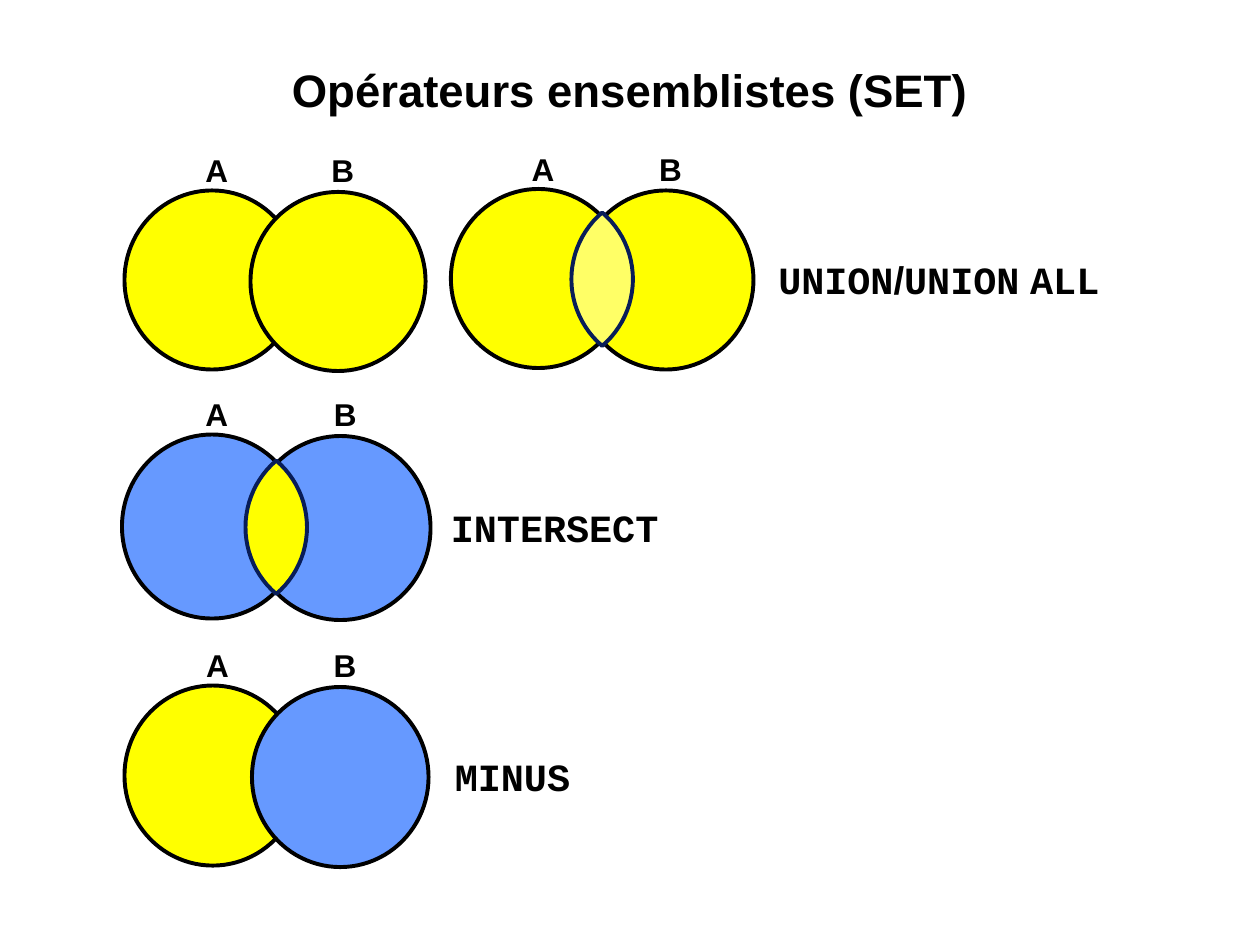
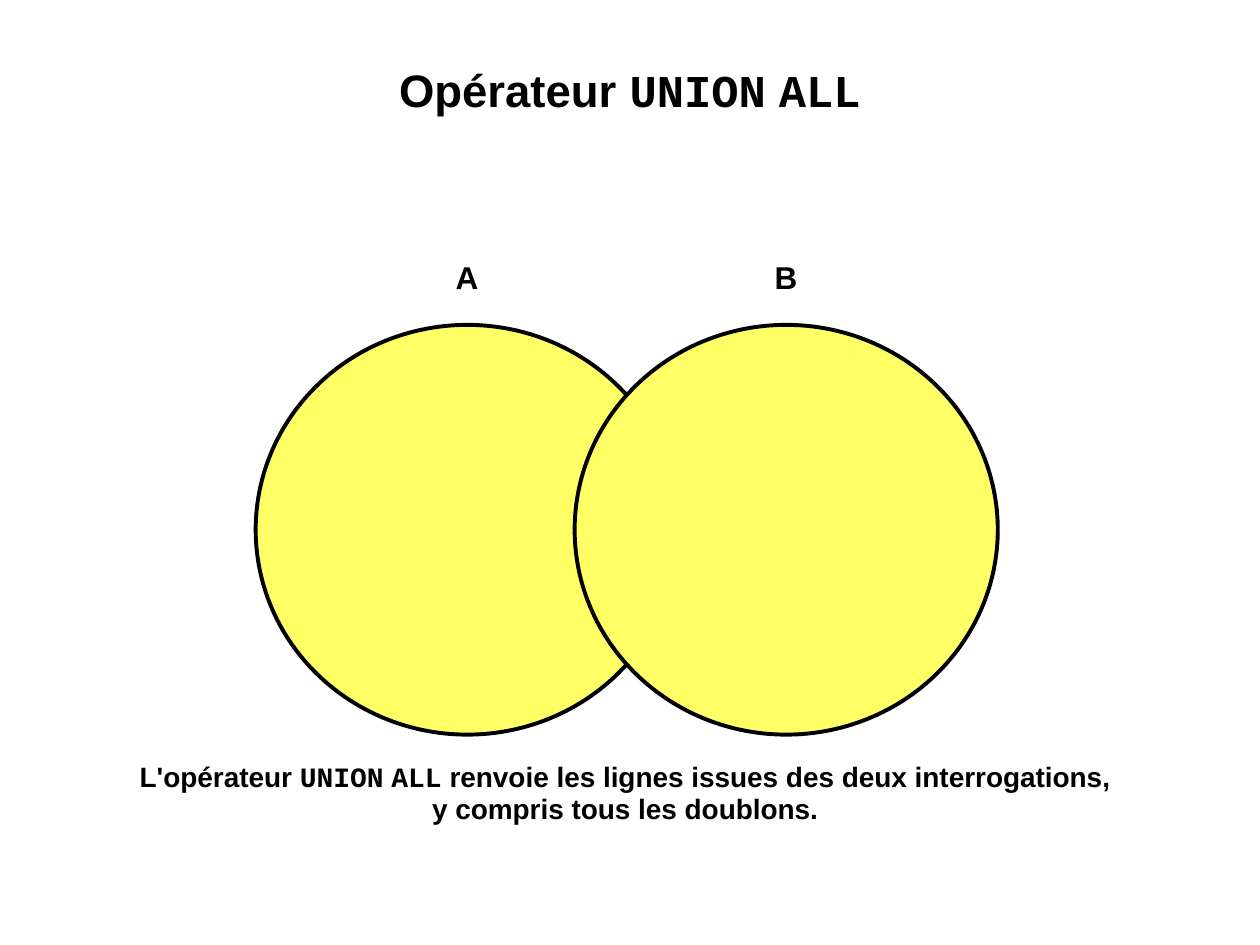
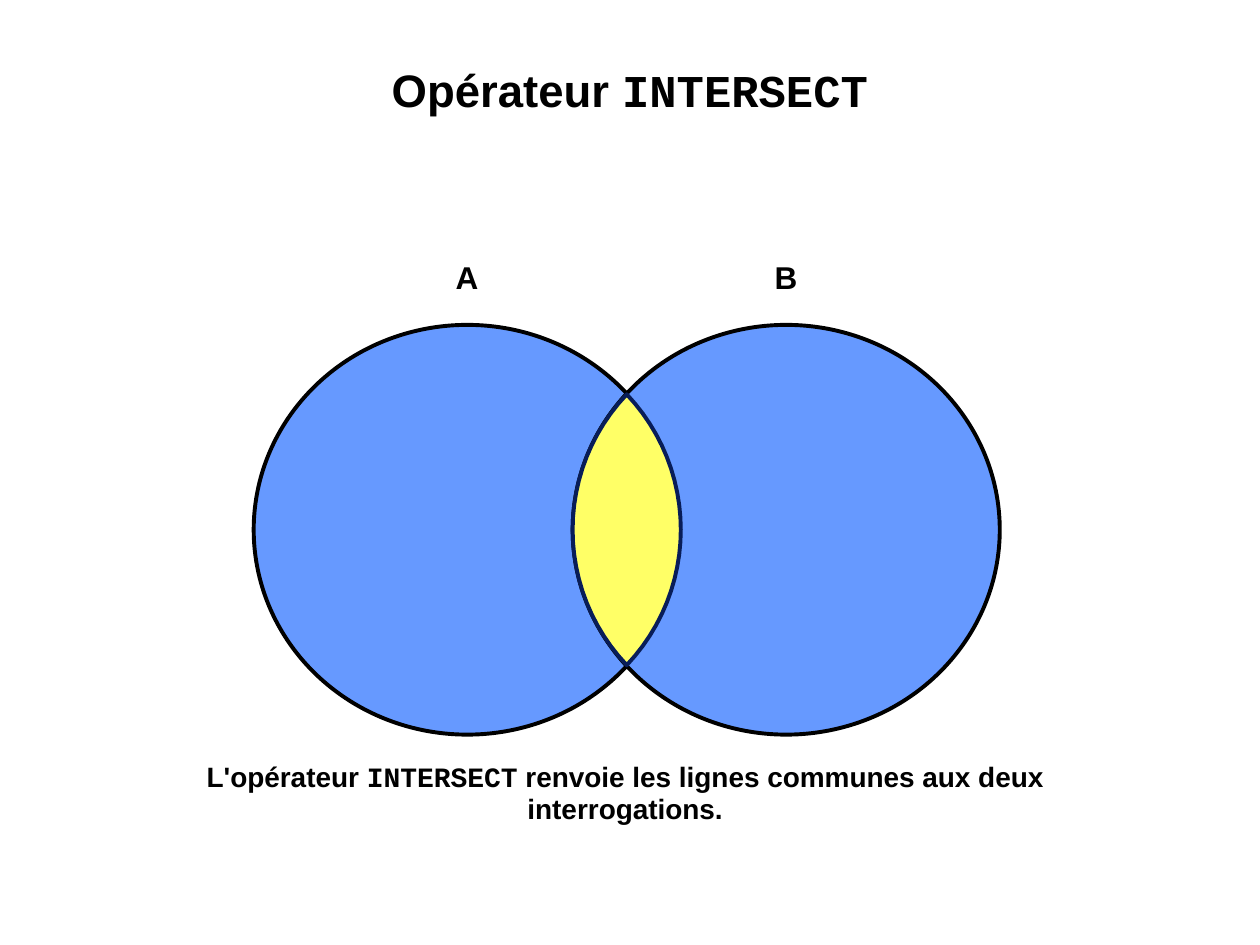
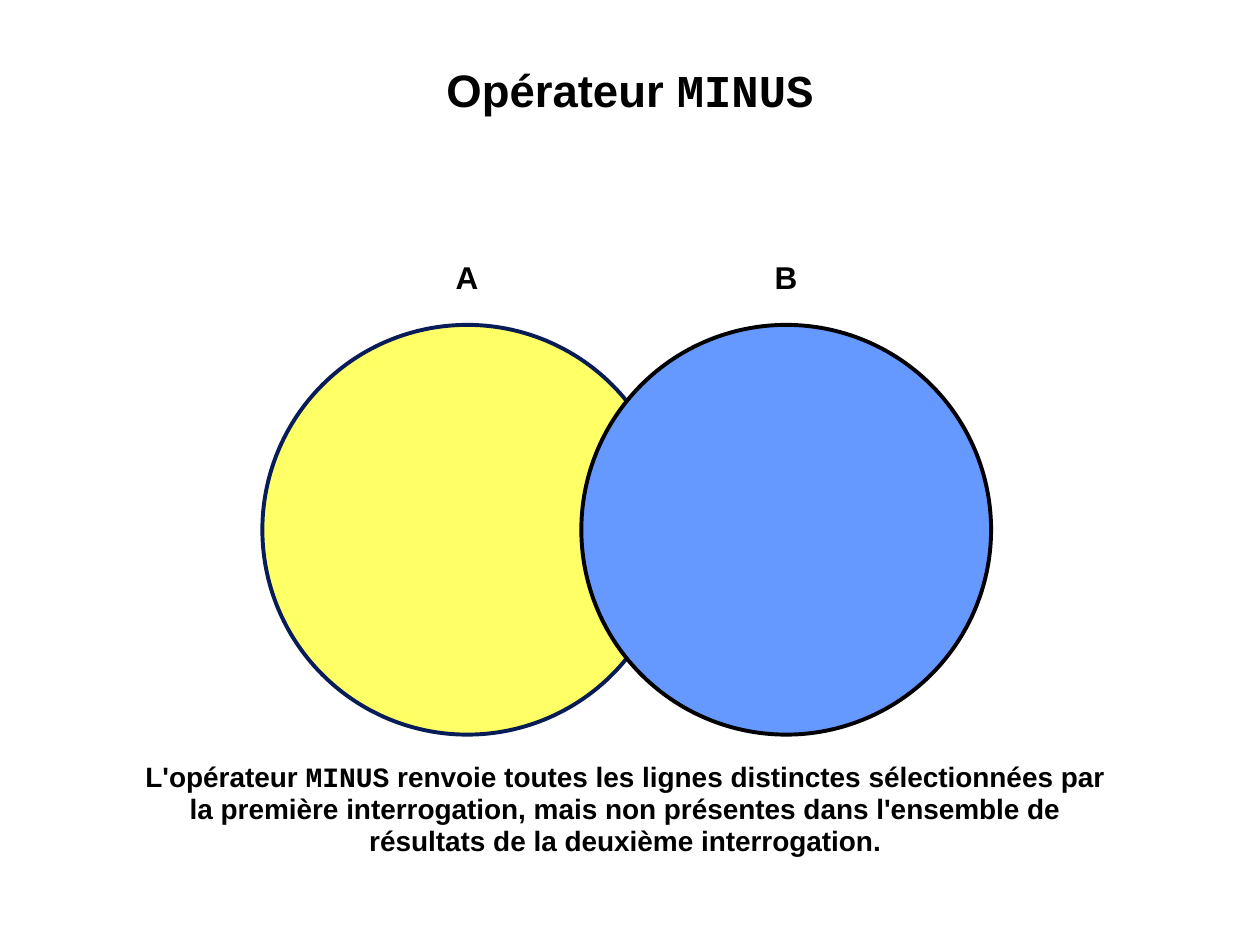
from math import atan, cos, radians, sin, degrees

from pptx import Presentation
from pptx.dml.color import RGBColor
from pptx.enum.shapes import MSO_SHAPE
from pptx.enum.text import MSO_ANCHOR, MSO_AUTO_SIZE, PP_ALIGN
from pptx.util import Cm, Pt

# Shared style
BLACK = RGBColor(0x00, 0x00, 0x00)
NAVY = RGBColor(0x08, 0x1D, 0x58)
YELLOW = RGBColor(0xFF, 0xFF, 0x00)
PALE_YELLOW = RGBColor(0xFF, 0xFF, 0x66)
BLUE = RGBColor(0x66, 0x99, 0xFF)
SANS, MONO = "Arial", "Courier New"
TITLE_ONLY = 5
LABEL_W, LABEL_H = 0.97, 1.02
ARC_STEPS = 24


def code(text):
    """Runs for SQL keywords: monospaced words, proportional spaces."""
    runs = []
    for word in text.split():
        if runs:
            runs.append((" ", SANS))
        runs.append((word, MONO))
    return runs


def add_runs(p, runs, size):
    for text, font in runs:
        r = p.add_run()
        r.text = text
        r.font.name, r.font.size, r.font.bold = font, Pt(size), True
        r.font.color.rgb = BLACK


def add_text(s, box, runs, size, wrap=False):
    tf = s.shapes.add_textbox(*map(Cm, box)).text_frame
    tf.word_wrap = wrap
    tf.auto_size = MSO_AUTO_SIZE.SHAPE_TO_FIT_TEXT
    add_runs(tf.paragraphs[0], runs, size)
    return tf.paragraphs[0]


def add_titled_slide(prs, runs):
    s = prs.slides.add_slide(prs.slide_layouts[TITLE_ONLY])
    sp = s.shapes.title
    sp.left, sp.top, sp.width, sp.height = map(Cm, (1.7, 1.22, 22, 2.44))
    tf = sp.text_frame
    tf.auto_size, tf.vertical_anchor = MSO_AUTO_SIZE.NONE, MSO_ANCHOR.TOP
    tf.margin_left = tf.margin_right = tf.margin_top = tf.margin_bottom = Cm(0.03)
    p = tf.paragraphs[0]
    p.alignment = PP_ALIGN.CENTER
    add_runs(p, runs, 26)
    return s


def paint(sp, fill, line):
    sp.shadow.inherit = False
    sp.fill.solid()
    sp.fill.fore_color.rgb = fill
    sp.line.color.rgb = line
    sp.line.width = Pt(2.25)


def add_lens(s, cx, cy, size, fill):
    """Overlap of two circles, bounded by two mirrored arcs."""
    w, h = size
    half = 2 * atan(w / h)
    angles = [half * (2 * i / ARC_STEPS - 1) for i in range(ARC_STEPS + 1)]
    right = [(w / 2 * (cos(a) - cos(half)) / (1 - cos(half)),
              h / 2 * sin(a) / sin(half)) for a in angles]
    left = [(-x, -y) for x, y in right]
    points = [(Cm(cx + x), Cm(cy + y)) for x, y in right + left[1:]]
    builder = s.shapes.build_freeform(*points[0])
    builder.add_line_segments(points[1:], close=True)
    paint(builder.convert_to_shape(), fill, NAVY)


def add_venn(s, box, gap, fills, lens=None, lens_fill=None, line_a=BLACK,
             drop=0.03, lift=0.92, shift=0.1):
    """Circles A and B; box is that of A, gap the distance between centres."""
    x, y, w, h = box
    for i, (name, fill, line) in enumerate(zip("AB", fills, (line_a, BLACK))):
        left = x + i * gap
        sp = s.shapes.add_shape(MSO_SHAPE.OVAL, Cm(left), Cm(y + i * drop), Cm(w), Cm(h))
        paint(sp, fill, line)
        label = (left + (w - LABEL_W) / 2 + shift, y - lift, LABEL_W, LABEL_H)
        add_text(s, label, [(name, SANS)], 18)
    if lens:
        add_lens(s, x + (w + gap) / 2, y + (h + drop) / 2, lens, lens_fill)


def build_overview(prs):
    s = add_titled_slide(prs, [("Opérateurs ensemblistes (SET)", SANS)])
    # Union, without and with duplicates
    add_venn(s, (2.51, 3.84, 3.53, 3.61), 2.54, (YELLOW, YELLOW))
    add_venn(s, (9.09, 3.81, 3.53, 3.61), 2.57, (YELLOW, YELLOW), (1.24, 2.69), PALE_YELLOW)
    add_text(s, (15.44, 5.03, 9.4, 1.19),
             code("UNION") + [("/", SANS)] + code("UNION ALL"), 22, wrap=True)
    # Intersection
    add_venn(s, (2.46, 8.76, 3.63, 3.71), 2.59, (BLUE, BLUE), (1.24, 2.69), YELLOW)
    add_text(s, (8.84, 10.03, 4.72, 1.19), code("INTERSECT"), 22)
    # Difference
    add_venn(s, (2.51, 13.82, 3.56, 3.63), 2.57, (YELLOW, BLUE))
    add_text(s, (8.92, 15.06, 2.84, 1.19), code("MINUS"), 22)


def build_operator(prs, operator, explanation, width, fills, lens=None, line_a=BLACK):
    s = add_titled_slide(prs, [("Opérateur ", SANS)] + code(operator))
    add_venn(s, (9.42 - width / 2, 6.55, width, 8.26), 6.43, fills, lens, PALE_YELLOW,
             line_a, drop=0, lift=1.47, shift=0)
    runs = [("L'opérateur ", SANS)] + code(operator) + [(" " + explanation, SANS)]
    p = add_text(s, (2.51, 15.24, 20.19, 1.55), runs, 16, wrap=True)
    p.alignment = PP_ALIGN.CENTER
    p.line_spacing = 0.95


def main():
    prs = Presentation()
    prs.slide_width, prs.slide_height = Cm(25.4), Cm(19.05)
    build_overview(prs)
    build_operator(prs, "UNION ALL",
                   "renvoie les lignes issues des deux interrogations, "
                   "y compris tous les doublons.",
                   8.53, (PALE_YELLOW, PALE_YELLOW))
    build_operator(prs, "INTERSECT",
                   "renvoie les lignes communes aux deux interrogations.",
                   8.61, (BLUE, BLUE), lens=(2.18, 5.46))
    build_operator(prs, "MINUS",
                   "renvoie toutes les lignes distinctes sélectionnées par la première "
                   "interrogation, mais non présentes dans l'ensemble de résultats de la "
                   "deuxième interrogation.",
                   8.26, (PALE_YELLOW, BLUE), line_a=NAVY)
    prs.save("out.pptx")


if __name__ == "__main__":
    main()
